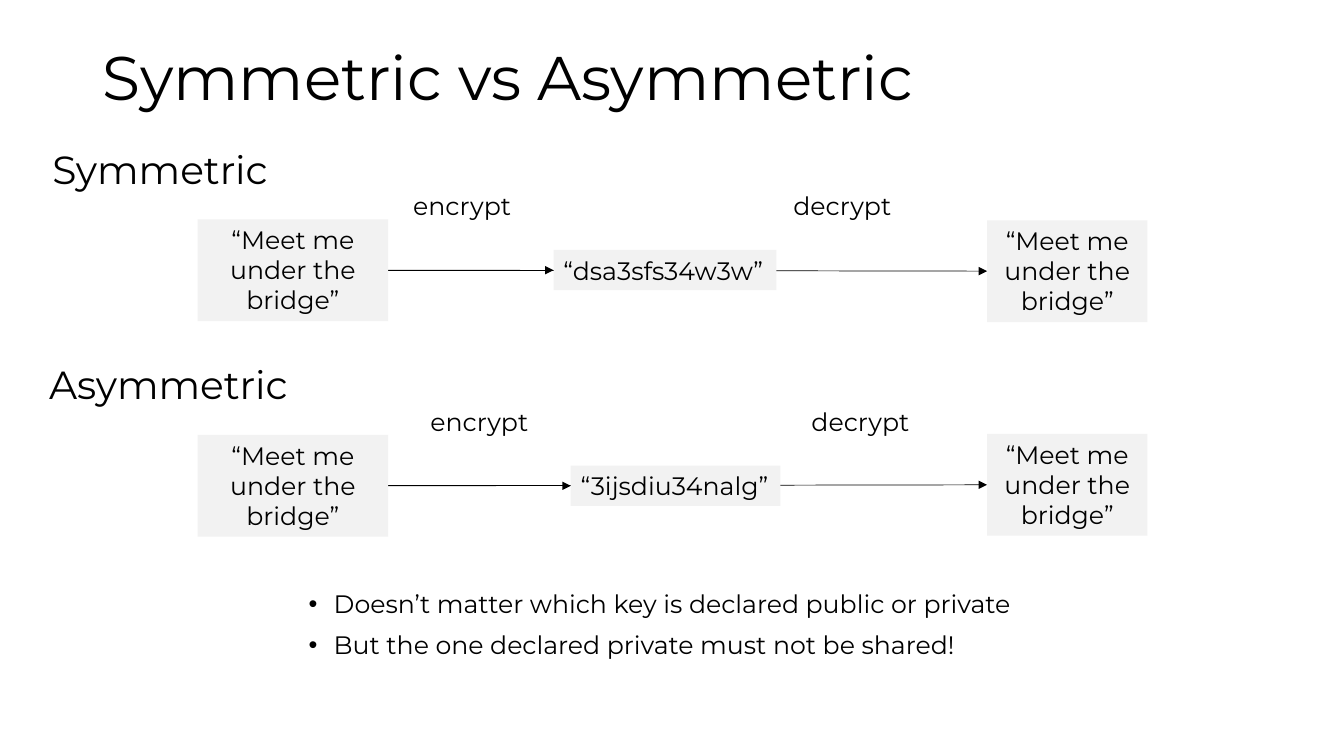
from pptx import Presentation
from pptx.dml.color import RGBColor
from pptx.enum.shapes import MSO_CONNECTOR, MSO_SHAPE
from pptx.enum.text import MSO_ANCHOR, MSO_AUTO_SIZE, PP_ALIGN
from pptx.oxml.ns import qn
from pptx.util import Inches, Pt
from lxml import etree

BLACK = RGBColor(0x00, 0x00, 0x00)
PALE_GREY = RGBColor(0xF2, 0xF2, 0xF2)
LEFT, CENTER = PP_ALIGN.LEFT, PP_ALIGN.CENTER
TOP, MIDDLE = MSO_ANCHOR.TOP, MSO_ANCHOR.MIDDLE
NO_FIT = MSO_AUTO_SIZE.NONE
RECTANGLE = MSO_SHAPE.RECTANGLE
STRAIGHT = MSO_CONNECTOR.STRAIGHT

MESSAGE = "“Meet me under the bridge”"
LINE_HEIGHT = 0.4
MESSAGE_HEIGHT = 1.01
SENT_RIGHT = 3.85
SENT_WIDTH = 1.89
RECEIVED_LEFT = 9.79
RECEIVED_WIDTH = 1.59


class CipherSlide:
    font_name = "Montserrat"
    text_size = 18
    heading_size = 28
    title_size = 44

    def __init__(self, slide):
        self.slide = slide

    def place(self, shape, left, top, width, height):
        shape.left, shape.top = Inches(left), Inches(top)
        shape.width, shape.height = Inches(width), Inches(height)

    def add_text(self, paragraph, text, size, align=LEFT):
        paragraph.alignment = align
        run = paragraph.add_run()
        run.text = text
        run.font.name = self.font_name
        run.font.size = Pt(size)
        run.font.color.rgb = BLACK

    def title(self, text, left, top, width, height):
        title = self.slide.shapes.title
        self.place(title, left, top, width, height)
        frame = title.text_frame
        frame.auto_size = NO_FIT
        frame.vertical_anchor = MIDDLE
        frame.paragraphs[0].line_spacing = 0.9
        self.add_text(frame.paragraphs[0], text, self.title_size)

    def bullets(self, items, left, top, width, height):
        body = self.slide.placeholders[1]
        self.place(body, left, top, width, height)
        frame = body.text_frame
        frame.auto_size = NO_FIT
        frame.vertical_anchor = TOP
        for index, item in enumerate(items):
            paragraph = frame.add_paragraph() if index else frame.paragraphs[0]
            properties = paragraph._p.get_or_add_pPr()
            properties.set("marL", str(Inches(0.25)))
            properties.set("indent", str(Inches(-0.25)))
            etree.SubElement(properties, qn("a:buFont"), typeface="Arial")
            etree.SubElement(properties, qn("a:buChar"), char="•")
            paragraph.line_spacing = 0.9
            paragraph.space_before = Pt(10 if index else 0)
            self.add_text(paragraph, item, self.text_size)

    def label(self, text, left, top, width, height, size=text_size, wrap=False):
        label = self.slide.shapes.add_textbox(
            Inches(left), Inches(top), Inches(width), Inches(height))
        label.text_frame.word_wrap = wrap
        self.add_text(label.text_frame.paragraphs[0], text, size)

    def box(self, text, left, top, width, height, align=CENTER, wrap=True):
        box = self.slide.shapes.add_shape(
            RECTANGLE, Inches(left), Inches(top), Inches(width), Inches(height))
        box.shadow.inherit = False
        box.fill.solid()
        box.fill.fore_color.rgb = PALE_GREY
        box.line.fill.background()
        box.text_frame.word_wrap = wrap
        box.text_frame.vertical_anchor = TOP
        self.add_text(box.text_frame.paragraphs[0], text, self.text_size, align)

    def arrow(self, start, end):
        arrow = self.slide.shapes.add_connector(
            STRAIGHT, *(Inches(value) for value in start + end))
        arrow.line.color.rgb = BLACK
        arrow.line.width = Pt(0.5)
        properties = arrow._element.spPr
        etree.SubElement(properties.find(qn("a:ln")), qn("a:tailEnd"), type="triangle")
        etree.SubElement(properties, qn("a:effectLst"))

    def scheme(self, heading, heading_at, cipher, cipher_left, cipher_width,
               middle, received_middle, encrypt_left, decrypt_left):
        self.label(heading, *heading_at, 0.57, size=self.heading_size, wrap=True)
        self.arrow((SENT_RIGHT, middle), (RECEIVED_LEFT, received_middle))
        self.arrow((SENT_RIGHT, middle), (cipher_left, middle))
        self.box(MESSAGE, SENT_RIGHT - SENT_WIDTH, middle - MESSAGE_HEIGHT / 2,
                 SENT_WIDTH, MESSAGE_HEIGHT)
        self.box(cipher, cipher_left, middle - LINE_HEIGHT / 2,
                 cipher_width, LINE_HEIGHT, align=LEFT, wrap=False)
        self.box(MESSAGE, RECEIVED_LEFT, received_middle - MESSAGE_HEIGHT / 2,
                 RECEIVED_WIDTH, MESSAGE_HEIGHT)
        for step, left in (("encrypt", encrypt_left), ("decrypt", decrypt_left)):
            self.label(step, left, middle - 0.84, 1.18, LINE_HEIGHT)


def main():
    presentation = Presentation()
    presentation.slide_width = Inches(13.33)
    presentation.slide_height = Inches(7.5)
    page = CipherSlide(presentation.slides.add_slide(presentation.slide_layouts[1]))
    page.title("Symmetric vs Asymmetric", 0.92, 0.4, 11.5, 0.79)
    page.scheme("Symmetric", (0.42, 1.39, 2.48), "“dsa3sfs34w3w”", 5.49, 2.21,
                middle=2.68, received_middle=2.69, encrypt_left=4, decrypt_left=7.77)
    page.scheme("Asymmetric", (0.39, 3.53, 2.8), "“3ijsdiu34nalg”", 5.66, 2.08,
                middle=4.82, received_middle=4.81, encrypt_left=4.17, decrypt_left=7.95)
    page.bullets(("Doesn’t matter which key is declared public or private",
                  "But the one declared private must not be shared!"),
                 2.96, 5.82, 7.47, 0.94)
    presentation.save("out.pptx")


if __name__ == "__main__":
    main()
